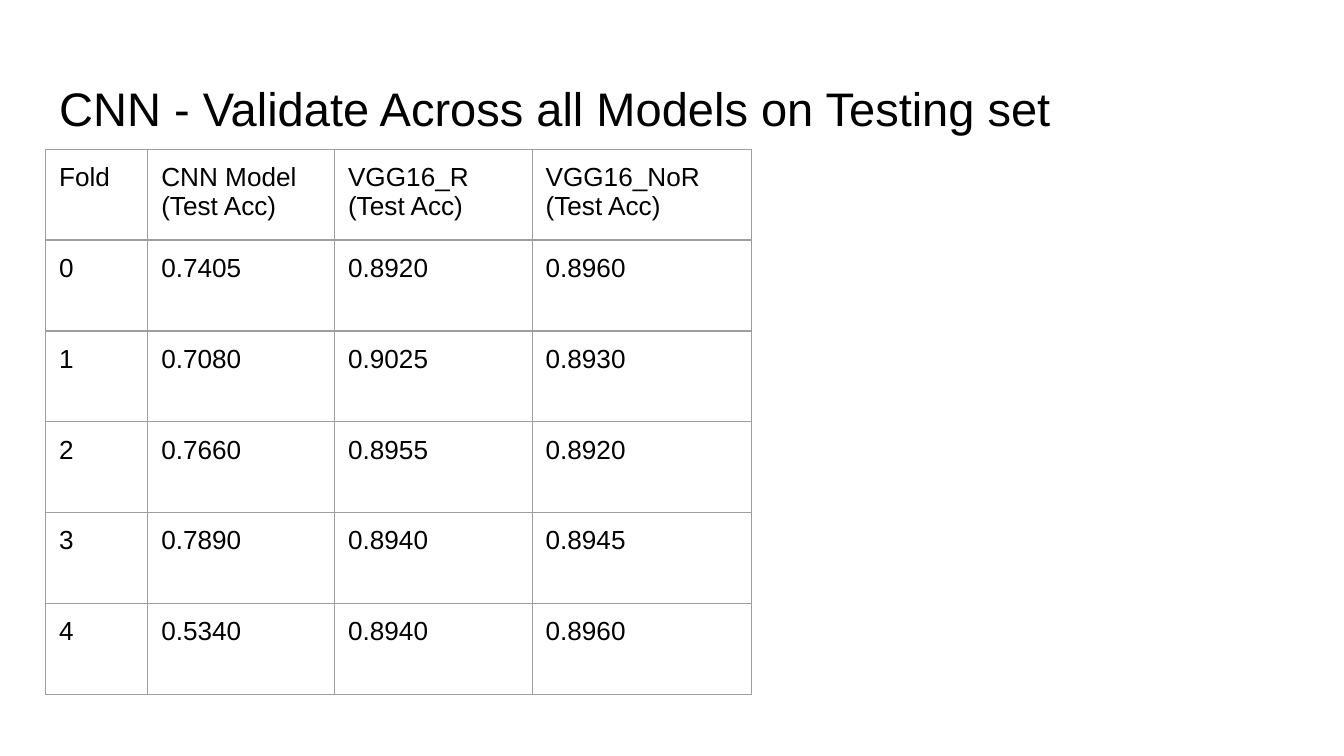
from lxml.etree import SubElement
from pptx import Presentation
from pptx.dml.color import RGBColor
from pptx.enum.text import MSO_ANCHOR, PP_ALIGN
from pptx.oxml.ns import qn
from pptx.util import Inches, Pt

LEFT = 0.34
INSET = Inches(0.1)
COL_WIDTHS = [0.76, 1.39, 1.47, 1.63]
TABLE_HEIGHT = 4.06
RESULTS = [
    ["Fold", "CNN Model\n(Test Acc)", "VGG16_R\n(Test Acc)", "VGG16_NoR\n(Test Acc)"],
    ["0", "0.7405", "0.8920", "0.8960"],
    ["1", "0.7080", "0.9025", "0.8930"],
    ["2", "0.7660", "0.8955", "0.8920"],
    ["3", "0.7890", "0.8940", "0.8945"],
    ["4", "0.5340", "0.8940", "0.8960"],
]


def color(hex_string):
    """Turn a hex string into a colour."""
    return RGBColor.from_string(hex_string)


def set_text(tf, text, size):
    """Fill a text frame with left-aligned black Arial text."""
    tf.text = text
    for p in tf.paragraphs:
        p.alignment = PP_ALIGN.LEFT
        for r in p.runs:
            r.font.name = "Arial"
            r.font.size = Pt(size)
            r.font.color.rgb = color("000000")


def set_borders(cell, hex_string, width):
    """Draw the same solid line on all four sides of a cell."""
    tc_pr = cell._tc.get_or_add_tcPr()
    for i, side in enumerate(("lnL", "lnR", "lnT", "lnB")):
        ln = SubElement(tc_pr, qn(f"a:{side}"), w=str(Pt(width)))
        tc_pr.insert(i, ln)
        fill = SubElement(ln, qn("a:solidFill"))
        SubElement(fill, qn("a:srgbClr"), val=hex_string)


def add_title(slide, text, left, top, width, height):
    """Place the title placeholder in the given box."""
    sp = slide.shapes.title
    sp.left, sp.top, sp.width, sp.height = map(Inches, (left, top, width, height))
    tf = sp.text_frame
    tf.margin_left = tf.margin_right = tf.margin_top = tf.margin_bottom = INSET
    tf.vertical_anchor = MSO_ANCHOR.MIDDLE
    tf.word_wrap = True
    set_text(tf, text, 25.2)


def add_results(slide, rows, left, top, col_widths, height):
    """Place the accuracy table with equal rows in the given box."""
    box = (left, top, sum(col_widths), height)
    table = slide.shapes.add_table(len(rows), len(col_widths), *map(Inches, box)).table
    table.first_row = table.horz_banding = False
    for col, width in zip(table.columns, col_widths):
        col.width = Inches(width)
    for row, values in zip(table.rows, rows):
        row.height = Inches(height / len(rows))
        for cell, value in zip(row.cells, values):
            cell.margin_left = cell.margin_right = INSET
            cell.margin_top = cell.margin_bottom = INSET
            cell.vertical_anchor = MSO_ANCHOR.TOP
            cell.fill.background()
            set_borders(cell, "9E9E9E", 0.75)
            set_text(cell.text_frame, value, 14)


def main():
    """Build the slide and save it."""
    prs = Presentation()
    prs.slide_width = Inches(10)
    prs.slide_height = prs.slide_width * 9 // 16
    slide = prs.slides.add_slide(prs.slide_layouts[5])
    add_title(slide, "CNN - Validate Across all Models on Testing set",
              LEFT, 0.49, 10 - 2 * LEFT, 0.63)
    add_results(slide, RESULTS, LEFT, 1.11, COL_WIDTHS, TABLE_HEIGHT)
    prs.save("out.pptx")


if __name__ == "__main__":
    main()
